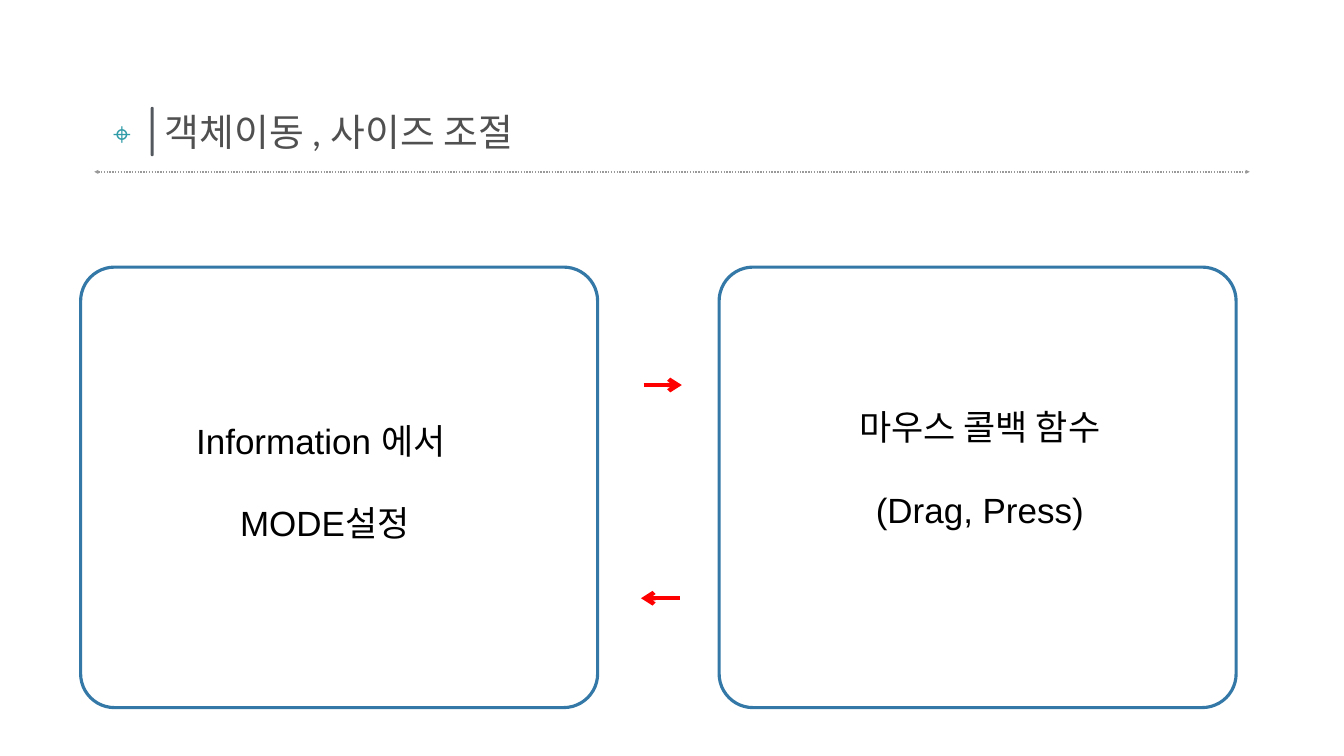
from lxml import etree
from pptx import Presentation, util as u
from pptx.dml.color import RGBColor
from pptx.enum import dml, shapes, text
from pptx.oxml.ns import qn


def color(value):
    return RGBColor.from_string(value)


class SlideBuilder:
    blue = "3378A6"
    red = "FF0000"
    gray = "9A9A9A"
    dark = "505050"

    def __init__(self, slide):
        self.slide = slide

    def text(self, box, lines, size, font, fill, align=text.PP_ALIGN.CENTER,
             anchor=text.MSO_ANCHOR.MIDDLE, inset=0.08, wrap=True, first=0, gap=0):
        shape = self.slide.shapes.add_textbox(*map(u.Inches, box))
        frame = shape.text_frame
        frame.word_wrap = wrap
        frame.vertical_anchor = anchor
        frame.margin_left = frame.margin_right = u.Inches(inset)
        frame.margin_top = frame.margin_bottom = u.Inches(inset)
        frame.text = "\n".join(lines)
        for index, paragraph in enumerate(frame.paragraphs):
            paragraph.alignment = align
            paragraph.space_before = u.Pt(gap if index else first)
            for run in paragraph.runs:
                run.font.size = u.Pt(size)
                run.font.name = font
                run.font.color.rgb = color(fill)

    def rounded(self, box, adjustment, fill=None, line=None, width=0):
        shape = self.slide.shapes.add_shape(
            shapes.MSO_SHAPE.ROUNDED_RECTANGLE, *map(u.Inches, box))
        shape.shadow.inherit = False
        shape.adjustments[0] = adjustment
        if fill:
            shape.fill.solid()
            shape.fill.fore_color.rgb = color(fill)
        else:
            shape.fill.background()
        if line:
            shape.line.color.rgb = color(line)
            shape.line.width = u.Pt(width)
        else:
            shape.line.fill.background()

    def line(self, start, end, stroke, width, head=None, tail=None, dash=None):
        connector = self.slide.shapes.add_connector(
            shapes.MSO_CONNECTOR.STRAIGHT, *map(u.Inches, start + end))
        connector.line.color.rgb = color(stroke)
        connector.line.width = u.Pt(width)
        if dash:
            connector.line.dash_style = dash
        outline = connector.line._get_or_add_ln()
        for tag, kind in (("a:headEnd", head), ("a:tailEnd", tail)):
            if kind:
                etree.SubElement(outline, qn(tag), type=kind)
        etree.SubElement(connector._element.spPr, qn("a:effectLst"))


def main():
    presentation = Presentation()
    presentation.slide_width = u.Inches(26.67)
    presentation.slide_height = u.Inches(15)
    builder = SlideBuilder(presentation.slides.add_slide(presentation.slide_layouts[6]))

    builder.text((2.01, 2.17, 0.82, 0.92), ["⌖"], 45, "Calibri", "309CA8", wrap=False)
    builder.rounded((2.99, 2.12, 0.06, 0.98), 0.5, fill="53585F")
    builder.text((3.27, 2.15, 21.5, 1.1), ["객체이동 , 사이즈 조절"], 54, "Lato", builder.dark,
                 align=text.PP_ALIGN.LEFT, anchor=text.MSO_ANCHOR.TOP, inset=0, first=17)
    builder.line((1.87, 3.41), (24.8, 3.41), builder.gray, 2, "triangle", "triangle",
                 dml.MSO_LINE.ROUND_DOT)

    for left in (1.6, 14.27):
        builder.rounded((left, 5.3, 10.26, 8.74), 0.077, line=builder.blue, width=4.5)
    for start, end in (((12.77, 7.64), (13.53, 7.64)), ((13.49, 11.87), (12.72, 11.87))):
        builder.line(start, end, builder.red, 6, tail="arrow")

    steps = (
        ((1.87, 8.21, 9.15, 2.68), ["Information 에서 ", "MODE설정"]),
        ((14.83, 7.94, 9.23, 2.68), ["마우스 콜백 함수", "(Drag, Press)"]),
    )
    for box, lines in steps:
        builder.text(box, lines, 50, "Arial", "000000", gap=58)

    presentation.save("out.pptx")


if __name__ == "__main__":
    main()
